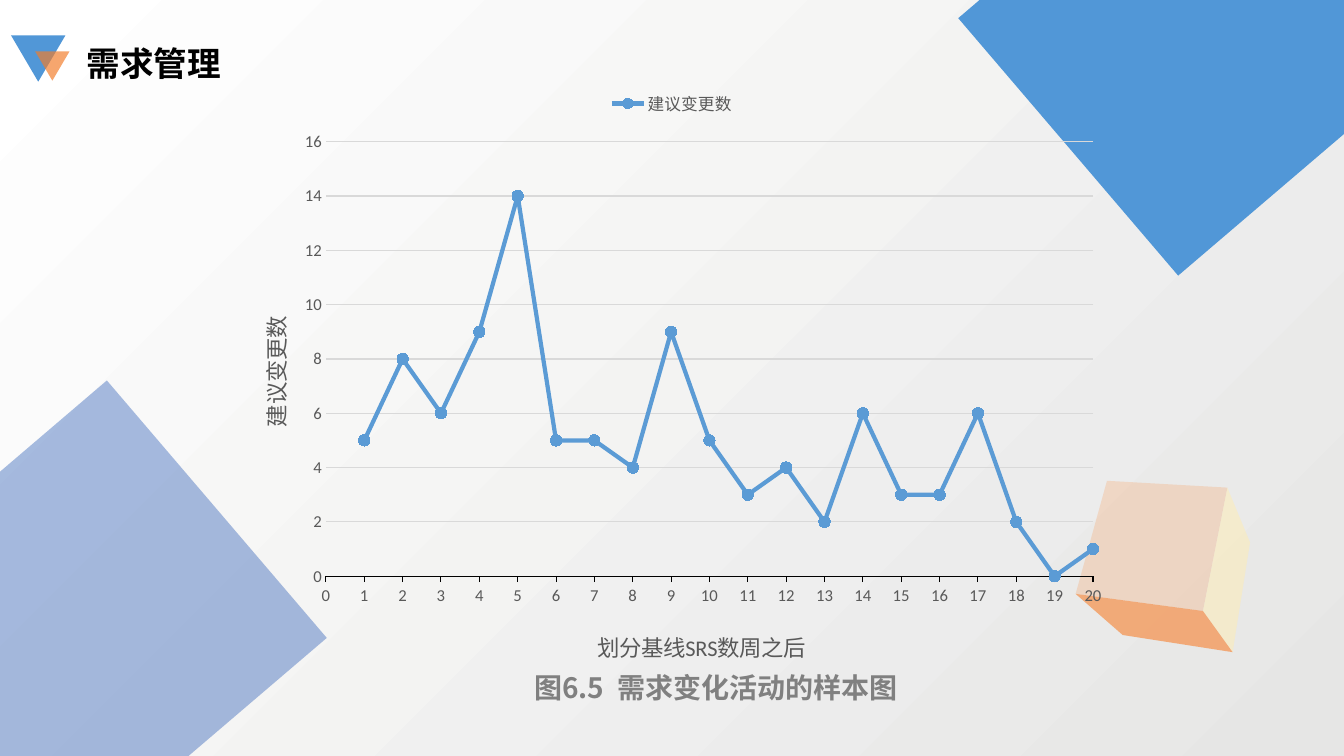
from pptx import Presentation
from pptx.chart.data import CategoryChartData as ChartData
from pptx.dml.color import RGBColor as RGB
from pptx.enum.chart import XL_CHART_TYPE as Kind, XL_LEGEND_POSITION as Side
from pptx.enum.chart import XL_MARKER_STYLE as Mark, XL_TICK_MARK as Tick
from pptx.enum.shapes import MSO_SHAPE as Shape
from pptx.oxml import parse_xml
from pptx.oxml.ns import nsdecls, qn
from pptx.util import Inches, Pt

BLUE = RGB(0x51, 0x97, 0xD7)
NAVY = RGB(0x3E, 0x6B, 0xBC)
ORANGE = RGB(0xF3, 0x7D, 0x2A)
PEACH = RGB(0xF7, 0xA7, 0x6E)
CREAM = RGB(0xFF, 0xEC, 0xB3)
RUST = RGB(0xF5, 0x8F, 0x49)
LINE = RGB(0x5B, 0x9B, 0xD5)
BLACK = RGB(0, 0, 0)
WHITE = RGB(0xFF, 0xFF, 0xFF)
SMOKE = RGB(0xE6, 0xE6, 0xE5)
GRAY = RGB(0x80, 0x80, 0x80)
DARK = RGB(0x59, 0x59, 0x59)
PALE = RGB(0xD9, 0xD9, 0xD9)
SANS = "Noto Sans CJK SC"
BODY = "Calibri"
COUNTS = [None, 5, 8, 6, 9, 14, 5, 5, 4, 9, 5, 3, 4, 2, 6, 3, 3, 6, 2, 0, 1]


def part(box, x, y, w, h):
    """Take a share of a box, in percent of its width and height."""
    left, top, wide, high = box
    return (int(left + wide * x / 100), int(top + high * y / 100),
            int(wide * w / 100), int(high * h / 100))


def paint(shape, color, alpha=100):
    shape.shadow.inherit = False
    shape.line.fill.background()
    shape.fill.solid()
    shape.fill.fore_color.rgb = color
    if alpha < 100:
        tone = shape.fill._xPr.find(".//" + qn("a:srgbClr"))
        tone.append(parse_xml(f'<a:alpha {nsdecls("a")} val="{alpha * 1000}"/>'))


def block(shapes, kind, box, color, alpha=100, turn=0):
    shape = shapes.add_shape(kind, *box)
    shape.rotation = turn
    paint(shape, color, alpha)


def style(font, size, color=DARK, name=BODY, bold=False):
    font.size, font.name, font.bold = Pt(size), name, bold
    font.color.rgb = color


def write(shapes, box, text, **form):
    frame = shapes.add_textbox(*box).text_frame
    frame.word_wrap = True
    run = frame.paragraphs[0].add_run()
    run.text = text
    style(run.font, name=SANS, bold=True, **form)
    latin = run.font._element.find(qn("a:latin"))
    latin.addnext(parse_xml(f'<a:ea {nsdecls("a")} typeface="{SANS}"/>'))


def place(node, index, inner=False, **spots):
    """Fix the layout of a chart part, in shares of the chart."""
    for old in node.findall(qn("c:layout")):
        node.remove(old)
    rows = '<c:layoutTarget val="inner"/>' if inner else ""
    rows += '<c:xMode val="edge"/><c:yMode val="edge"/>'
    rows += "".join(f'<c:{key} val="{val}"/>' for key, val in spots.items())
    node.insert(index, parse_xml(
        f'<c:layout {nsdecls("c")}><c:manualLayout>{rows}</c:manualLayout></c:layout>'))


def label(axis, text, x, y, turn=0):
    frame = axis.axis_title.text_frame
    frame.text = text
    style(frame.paragraphs[0].runs[0].font, 16)
    body = frame._txBody.find(qn("a:bodyPr"))
    body.set("rot", str(turn * 60000))
    body.set("vert", "horz")
    place(axis.axis_title._element, 1, x=x, y=y)
    style(axis.tick_labels.font, 11.9)


def cube(shapes, box):
    group = shapes.add_group_shape().shapes
    hub, west, north, east = (73, 76), (0, 66), (18, 0), (87, 4)
    edge, south, foot = (100, 36), (90, 100), (27, 90)
    faces = [([hub, west, north, east], PEACH, 30),
             ([south, hub, east, edge], CREAM, 50),
             ([south, foot, west, hub], RUST, 70)]
    for dots, color, alpha in faces:
        spots = [part(box, x, y, 0, 0)[:2] for x, y in dots]
        outline = group.build_freeform(*spots[0])
        outline.add_line_segments(spots[1:], close=True)
        paint(outline.convert_to_shape(), color, alpha)


def graph(shapes, box):
    data = ChartData()
    data.categories = [str(week) for week in range(len(COUNTS))]
    data.add_series("建议变更数", COUNTS)
    chart = shapes.add_chart(Kind.LINE_MARKERS, *box, data).chart
    style(chart.font, 10, BLACK)
    chart.has_title = False
    chart.has_legend = True
    chart.legend.position = Side.TOP
    chart.legend.include_in_layout = False
    style(chart.legend.font, 11.9)
    plot = chart.plots[0]
    plot.vary_by_categories = False
    place(chart._chartSpace.chart.plotArea, 0, inner=True,
          x=0.114, y=0.104, w=0.856, h=0.727)

    # Series
    line = plot.series[0]
    line.smooth = False
    line.format.line.color.rgb = LINE
    line.format.line.width = Pt(3)
    line.marker.style, line.marker.size = Mark.CIRCLE, 8
    line.marker.format.fill.solid()
    line.marker.format.fill.fore_color.rgb = LINE
    line.marker.format.line.color.rgb = LINE

    # Axes
    weeks, count = chart.category_axis, chart.value_axis
    label(weeks, "划分基线SRS数周之后", 0.412, 0.912)
    label(count, "建议变更数", 0.033, 0.39, turn=-90)
    weeks.major_tick_mark = Tick.OUTSIDE
    weeks.format.line.color.rgb = BLACK
    weeks.format.line.width = Pt(0.75)
    count.minimum_scale, count.maximum_scale, count.major_unit = 0, 16, 2
    count.major_tick_mark = Tick.NONE
    count.format.line.fill.background()
    count.has_major_gridlines = True
    count.major_gridlines.format.line.color.rgb = PALE
    count.major_gridlines.format.line.width = Pt(0.75)
    cross = count._element.xpath("c:crossAx | c:crosses")[-1]
    cross.addnext(parse_xml(f'<c:crossBetween {nsdecls("c")} val="midCat"/>'))


def heading(shapes, box):
    group = shapes.add_group_shape().shapes
    block(group, Shape.ISOSCELES_TRIANGLE, part(box, 0, 0, 9.14, 86.8), BLUE, turn=180)
    block(group, Shape.ISOSCELES_TRIANGLE, part(box, 4.06, 30.2, 5.75, 54.7),
          ORANGE, 68, turn=180)
    write(group, part(box, 11, 5.66, 89, 94.34), "需求管理", size=24, color=BLACK)


def backdrop(slide, page):
    fill = slide.background.fill
    fill.gradient()
    fill.gradient_angle = 135
    for stop, color in zip(fill.gradient_stops, (SMOKE, WHITE)):
        stop.color.rgb = color
    for x, y, color, alpha in ((-7.73, 58.13, NAVY, 45), (78.15, -24, BLUE, 100)):
        block(slide.shapes, Shape.RECTANGLE, part(page, x, y, 25.2, 52.67),
              color, alpha, turn=49.5)


def main():
    deck = Presentation()
    deck.slide_width, deck.slide_height = Inches(13.33), Inches(7.5)
    page = (0, 0, deck.slide_width, deck.slide_height)
    slide = deck.slides.add_slide(deck.slide_layouts[6])
    shapes = slide.shapes
    backdrop(slide, page)
    cube(shapes, part(page, 80.03, 63.6, 12.98, 22.67))
    graph(shapes, part(page, 16.65, 10.53, 66.68, 79.07))
    write(shapes, part(page, 39, 88, 30.68, 5.33), "图6.5  需求变化活动的样本图",
          size=20, color=GRAY)
    heading(shapes, part(page, 0.82, 4.67, 44.33, 7.07))
    deck.save("out.pptx")


if __name__ == "__main__":
    main()
